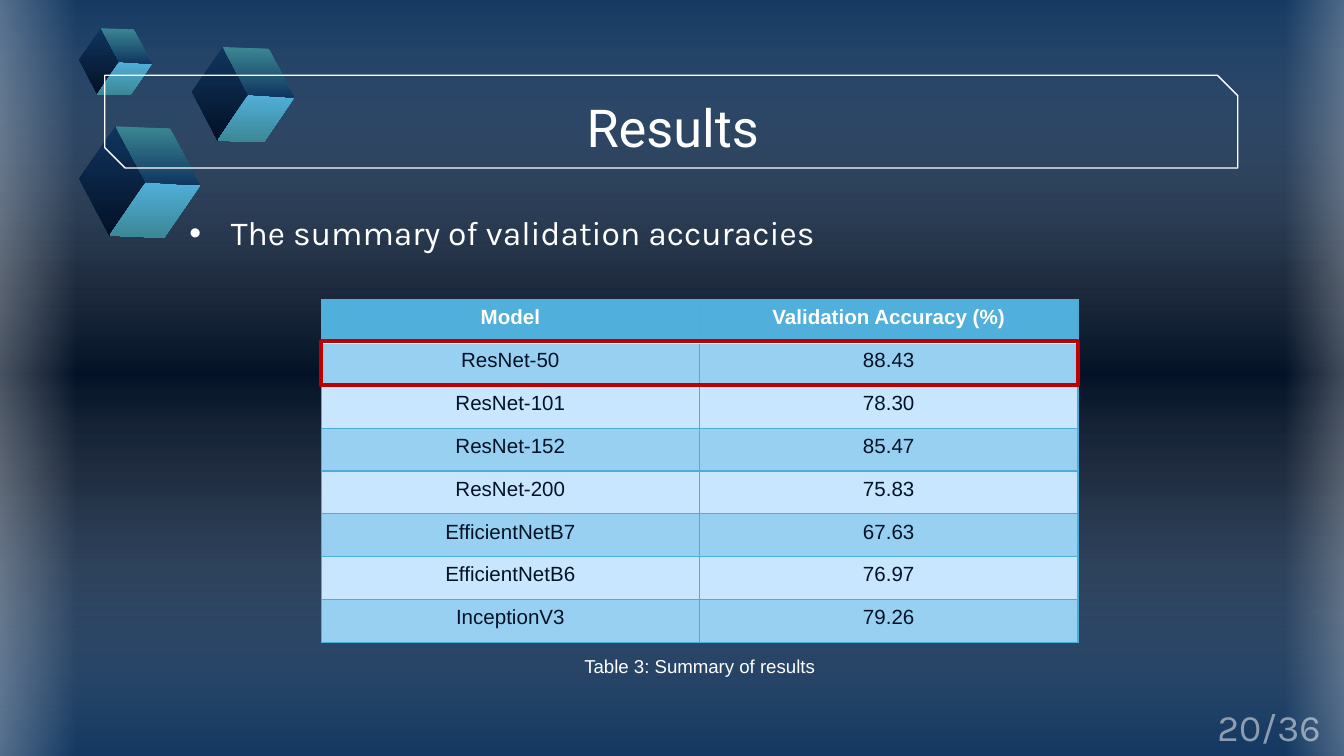
from dataclasses import dataclass

from lxml import etree
from pptx import Presentation
from pptx.dml.color import RGBColor
from pptx.enum.shapes import MSO_SHAPE
from pptx.enum.text import MSO_ANCHOR, PP_ALIGN
from pptx.oxml.ns import qn
from pptx.util import Inches, Pt

RECTANGLE = MSO_SHAPE.RECTANGLE
SNIPPED = MSO_SHAPE.SNIP_2_DIAG_RECTANGLE
LEFT, CENTER = PP_ALIGN.LEFT, PP_ALIGN.CENTER
TOP, MIDDLE = MSO_ANCHOR.TOP, MSO_ANCHOR.MIDDLE


@dataclass(frozen=True)
class Theme:
    white: str = "FFFFFF"
    navy: str = "10355F"
    night: str = "031126"
    sky: str = "51AFDB"
    teal: str = "3B8794"
    grid: str = "4CACDA"
    band_dark: str = "98D0F2"
    band_light: str = "C8E7FF"
    highlight: str = "C00000"
    heading_font: str = "Roboto"
    body_font: str = "Karla"
    table_font: str = "Arial"
    title_size: int = 28
    number_size: int = 20
    body_size: int = 18
    table_size: int = 11
    caption_size: int = 10


THEME = Theme()

RESULTS = [
    ("Model", "Validation Accuracy (%)"),
    ("ResNet-50", "88.43"),
    ("ResNet-101", "78.30"),
    ("ResNet-152", "85.47"),
    ("ResNet-200", "75.83"),
    ("EfficientNetB7", "67.63"),
    ("EfficientNetB6", "76.97"),
    ("InceptionV3", "79.26"),
]

# Cube faces as fractions of the cube's box, with their top and bottom colours
APEX, WEST, SOUTH_WEST, CORE = (0.3, 0), (0, 0.47), (0.25, 0.98), (0.55, 0.5)
EAST, SOUTH, NORTH_EAST = (1, 0.53), (0.7, 1), (0.75, 0.02)
CUBE_FACES = [
    ((APEX, WEST, SOUTH_WEST, CORE), THEME.navy, THEME.night),
    ((CORE, EAST, SOUTH, SOUTH_WEST), THEME.sky, THEME.teal),
    ((APEX, NORTH_EAST, EAST, CORE), THEME.teal, THEME.navy),
]


def add_color(parent, color, opacity=100):
    node = etree.SubElement(parent, qn("a:srgbClr"), val=color)
    if opacity < 100:
        etree.SubElement(node, qn("a:alpha"), val=str(opacity * 1000))


def paint_gradient(fill, owner, stops, angle):
    """Fill with (position, colour, opacity) stops; the angle runs clockwise."""
    fill.gradient()
    gradient = next(owner.element.iter(qn("a:gradFill")))
    for child in list(gradient):
        gradient.remove(child)
    stop_list = etree.SubElement(gradient, qn("a:gsLst"))
    for position, color, opacity in stops:
        stop = etree.SubElement(stop_list, qn("a:gs"), pos=str(position * 1000))
        add_color(stop, color, opacity)
    etree.SubElement(gradient, qn("a:lin"), ang=str(angle * 60000), scaled="0")


def add_panel(slide, box, stops, rotation=0):
    panel = slide.shapes.add_shape(RECTANGLE, *map(Inches, box))
    panel.shadow.inherit = False
    panel.line.fill.background()
    panel.rotation = rotation
    paint_gradient(panel.fill, panel, stops, 180)


def add_outline(slide, kind, box, color, width):
    outline = slide.shapes.add_shape(kind, *map(Inches, box))
    outline.shadow.inherit = False
    outline.fill.background()
    outline.line.color.rgb = RGBColor.from_string(color)
    outline.line.width = Pt(width)
    return outline


def style_font(font, family, size, color, bold=False):
    font.name, font.size, font.bold = family, Pt(size), bold
    font.color.rgb = RGBColor.from_string(color)


def add_text(slide, box, text, family, size, align=LEFT, anchor=TOP):
    frame = slide.shapes.add_textbox(*map(Inches, box)).text_frame
    frame.word_wrap = True
    frame.vertical_anchor = anchor
    frame.text = text
    paragraph = frame.paragraphs[0]
    paragraph.alignment = align
    style_font(paragraph.runs[0].font, family, size, THEME.white)
    return paragraph


def add_backdrop(slide):
    paint_gradient(slide.background.fill, slide,
                   [(0, THEME.navy, 100), (37, THEME.night, 100),
                    (63, THEME.night, 100), (100, THEME.navy, 100)], 90)
    veil = [(0, THEME.navy, 59), (50, THEME.white, 0), (100, THEME.navy, 59)]
    glow = [(0, THEME.white, 47), (100, THEME.white, 0)]
    add_panel(slide, (2.2, -2.33, 5.81, 10.21), veil, 270)
    add_panel(slide, (-0.41, -0.09, 0.98, 5.8), glow, 180)
    add_panel(slide, (9.56, -0.13, 0.85, 5.8), glow)


def add_cube(slide, box):
    left, top, width, height = box
    cube = slide.shapes.add_group_shape()
    for corners, upper, lower in CUBE_FACES:
        points = [(Inches(left + x * width), Inches(top + y * height)) for x, y in corners]
        builder = cube.shapes.build_freeform(*points[0])
        builder.add_line_segments(points[1:], close=True)
        face = builder.convert_to_shape()
        face.shadow.inherit = False
        face.line.fill.background()
        paint_gradient(face.fill, face, [(0, upper, 100), (100, lower, 100)], 90)


def add_title(slide, box):
    frame = add_outline(slide, SNIPPED, box, THEME.white, 0.75)
    frame.adjustments[0], frame.adjustments[1] = 0, 0.22
    left, top, width, height = box
    title = add_text(slide, (left + 0.01, top + 0.03, width, height - 0.06), "Results",
                     THEME.heading_font, THEME.title_size, CENTER, MIDDLE)
    title.line_spacing = 1.15


def add_bullet(slide, box):
    summary = add_text(slide, box, "The summary of validation accuracies",
                       THEME.body_font, THEME.body_size)
    indent = Inches(0.31)
    properties = summary._p.get_or_add_pPr()
    properties.set("marL", str(indent))
    properties.set("indent", str(-indent))
    add_color(etree.SubElement(properties, qn("a:buClr")), THEME.white)
    etree.SubElement(properties, qn("a:buFont"), typeface="Arial")
    etree.SubElement(properties, qn("a:buChar"), char="•")


def set_borders(cell, **special):
    """Draw the grid line on every side; special maps a side to (colour, width)."""
    properties = cell._tc.get_or_add_tcPr()
    for index, side in enumerate("LRTB"):
        color, width = special.get(side, (THEME.grid, 0.75))
        line = etree.Element(qn(f"a:ln{side}"), w=str(Pt(width)))
        add_color(etree.SubElement(line, qn("a:solidFill")), color)
        properties.insert(index, line)


def add_results(slide, box):
    """Table with its best row framed and a caption underneath."""
    left, top, width, height = box
    row_height = height / len(RESULTS)
    table = slide.shapes.add_table(len(RESULTS), 2, *map(Inches, box)).table
    for column in table.columns:
        column.width = Inches(width / 2)
    header_rule = (THEME.white, 2)
    for r, values in enumerate(RESULTS):
        table.rows[r].height = Inches(row_height)
        header = r == 0
        band = THEME.sky if header else THEME.band_dark if r % 2 else THEME.band_light
        ink = THEME.white if header else THEME.night
        rules = {0: {"B": header_rule}, 1: {"T": header_rule}}.get(r, {})
        for c, value in enumerate(values):
            cell = table.cell(r, c)
            cell.text = value
            cell.fill.solid()
            cell.fill.fore_color.rgb = RGBColor.from_string(band)
            set_borders(cell, **rules)
            paragraph = cell.text_frame.paragraphs[0]
            paragraph.alignment = CENTER
            style_font(paragraph.runs[0].font, THEME.table_font, THEME.table_size, ink, header)
    add_outline(slide, RECTANGLE, (left, top + row_height - 0.01, width, 0.33),
                THEME.highlight, 2.25)
    add_text(slide, (left + 0.25, top + height + 0.04, width - 0.5, 0.27),
             "Table 3: Summary of results", THEME.table_font, THEME.caption_size, CENTER)


def add_page_number(slide, box):
    number = add_text(slide, box, "20/36", THEME.body_font, THEME.number_size)
    color = next(number._p.iter(qn("a:srgbClr")))
    etree.SubElement(color, qn("a:alpha"), val="50000")


def main():
    deck = Presentation()
    deck.slide_width = Inches(10)
    deck.slide_height = deck.slide_width * 9 // 16
    slide = deck.slides.add_slide(deck.slide_layouts[6])
    add_backdrop(slide)
    add_page_number(slide, (8.96, 5.19, 1.77, 0.44))
    for box in [(0.59, 0.94, 0.9, 0.83), (1.43, 0.35, 0.76, 0.71), (0.59, 0.21, 0.54, 0.5)]:
        add_cube(slide, box)
    add_title(slide, (0.78, 0.56, 8.43, 0.69))
    add_bullet(slide, (1.31, 1.53, 7.41, 0.71))
    add_results(slide, (2.39, 2.23, 5.63, 2.55))
    deck.save("out.pptx")


if __name__ == "__main__":
    main()
